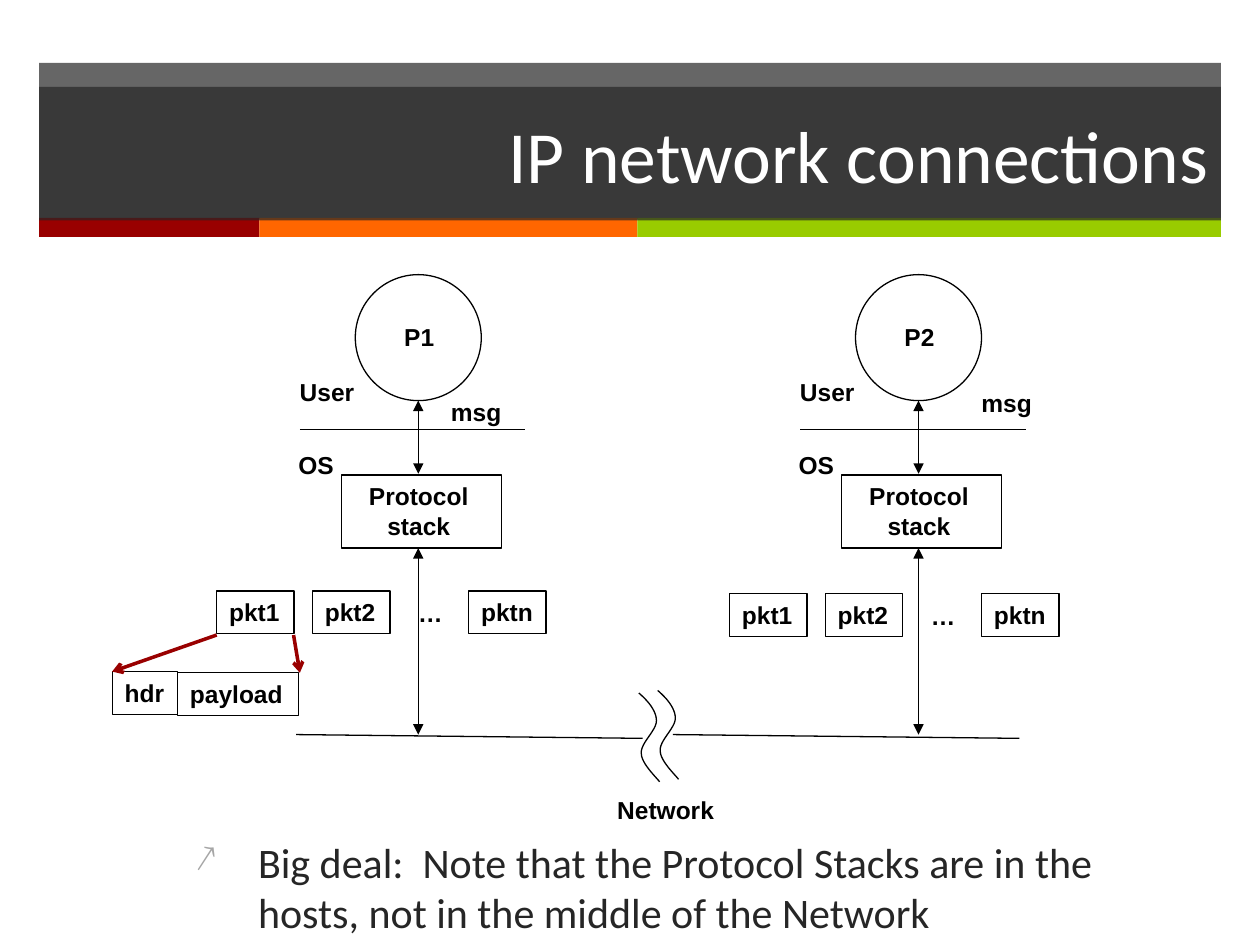
"""Draw the IP network connections slide on a grid of 100 columns by 75 rows."""
from lxml import etree
from pptx import Presentation, util as u
from pptx.dml import color as c
from pptx.enum import shapes, text
from pptx.oxml import ns

deck = Presentation()
deck.slide_width, deck.slide_height = u.Inches(10), u.Inches(7.5)
COL, ROW = deck.slide_width / 100, deck.slide_height / 75
INK, SLATE, CRIMSON = "000000", "262626", "990000"
RECT, OVAL = shapes.MSO_SHAPE.RECTANGLE, shapes.MSO_SHAPE.OVAL
slide = deck.slides.add_slide(deck.slide_layouts[5])
parts = slide.shapes


def paint(fill, colour, opacity=100):
    fill.solid()
    fill.fore_color.rgb = c.RGBColor.from_string(colour)
    if opacity < 100:
        for tone in fill._xPr.iter(ns.qn("a:srgbClr")):
            etree.SubElement(tone, ns.qn("a:alpha"), val=str(opacity * 1000))


def write(words, at, form=None, part=None, fill=None, opacity=100, line=None, size=14, font="Arial",
          bold=True, colour=INK, align=text.PP_ALIGN.LEFT, anchor=text.MSO_ANCHOR.TOP,
          wrap=False, right=1):
    left, top, width, height = at
    box = [round(v) for v in (left * COL, top * ROW, width * COL, height * ROW)]
    if part is not None:
        part.left, part.top, part.width, part.height = box
    elif form is not None:
        part = parts.add_shape(form, *box)
        part.shadow.inherit = False
    else:
        part = parts.add_textbox(*box)
    if fill:
        paint(part.fill, fill, opacity)
    else:
        part.fill.background()
    if line:
        paint(part.line.fill, line)
        part.line.width = u.Pt(0.75)
    else:
        part.line.fill.background()
    frame = part.text_frame
    frame.text = words
    frame.word_wrap, frame.vertical_anchor = wrap, anchor
    frame.auto_size = text.MSO_AUTO_SIZE.NONE
    frame.margin_right = round(right * COL)
    for paragraph in frame.paragraphs:
        paragraph.alignment = align
        paragraph.font.size, paragraph.font.name, paragraph.font.bold = u.Pt(size), font, bold
        paint(paragraph.font.fill, colour)
    return part


write("", (3.1, 5, 93.8, 12.4), RECT, fill=SLATE, opacity=70)
stripe_left = 3.1
for width, colour in ((17.5, CRIMSON), (30, "FF6600"), (46.3, "99CC00")):
    write("", (stripe_left, 17.3, width, 1.5), RECT, fill=colour)
    stripe_left += width

title = write("IP network connections", (3.1, 6.9, 93.8, 10.6), part=parts.title, fill=SLATE, opacity=70,
              size=42, font="Calibri", bold=False, colour="FFFFFF", align=text.PP_ALIGN.RIGHT,
              anchor=text.MSO_ANCHOR.MIDDLE, wrap=True)
parts._spTree.append(title._element)

links = [((23.5, 58.3), (51, 58.6), INK, 0.75, {}),
         ((53.4, 58.3), (80.9, 58.6), INK, 0.75, {}),
         ((17.2, 50.4), (8.9, 53.3), CRIMSON, 2, {"tailEnd": "arrow"}),
         ((23.3, 50.4), (23.8, 53.4), CRIMSON, 2, {"tailEnd": "arrow"})]
both_ends = {"headEnd": "triangle", "tailEnd": "triangle"}

for process, shift, packet_shift, packet_top, msg_at in (
        ("P1", 0, 0, 46.9, (34.8, 31)), ("P2", 39.7, 40.7, 47.1, (76.9, 30.3))):
    write("", (28.2 + shift, 21.8, 10, 10), OVAL, line=INK)
    write(process, (31.1 + shift, 25.1, 4.4, 3.3))
    write("User", (22.8 + shift, 29.4, 6.9, 3.3))
    write("OS", (22.7 + shift, 35.2, 5.4, 3.3))
    write("msg", (*msg_at, 6.5, 3.3))
    write("Protocol\nstack", (27.1 + shift, 37.7, 12.7, 5.8), RECT, line=INK,
          align=text.PP_ALIGN.CENTER, right=1.4)
    for packet, left in (("pkt1", 17.2), ("pkt2", 24.8), ("pktn", 37.2)):
        write(packet, (left + packet_shift, packet_top, 6.15, 3.4), RECT, line=INK)
    write("…", (32.2 + packet_shift, packet_top + 0.1, 4, 3.3))
    axis = 33.2 + shift
    links += [((23.8 + shift, 34.1), (41.7 + shift, 34.1), INK, 0.75, {}),
              ((axis, 31.8), (axis, 37.6), INK, 0.75, both_ends),
              ((axis, 43.5), (axis, 58.3), INK, 0.75, both_ends)]

write("hdr", (8.9, 53.3, 5.2, 3.4), RECT, line=INK)
write("payload", (14.1, 53.4, 9.6, 3.4), RECT, line=INK)
write("Network", (48, 62.6, 10.7, 3.3))

for start, end, colour, weight, heads in links:
    link = parts.add_connector(shapes.MSO_CONNECTOR.STRAIGHT, *(
        round(v) for v in (start[0] * COL, start[1] * ROW, end[0] * COL, end[1] * ROW)))
    paint(link.line.fill, colour)
    link.line.width = u.Pt(weight)
    for tag, head in heads.items():
        etree.SubElement(link.line._ln, ns.qn("a:" + tag), type=head)
    etree.SubElement(link._element.spPr, ns.qn("a:effectLst"))

bends = [((0, 0), (0.7, 0.6), (1.4, 1.4), (1.4, 2.2)),
         ((1.4, 2.2), (1.4, 3), (0.1, 4), (0.2, 4.8)),
         ((0.2, 4.8), (0.2, 5.6), (1.4, 6.7), (1.65, 7.05))]
STEPS = 12
curve = [tuple(sum(k * p[axis] for k, p in zip(
            ((1 - t) ** 3, 3 * t * (1 - t) ** 2, 3 * t * t * (1 - t), t ** 3), bend)) for axis in (0, 1))
         for bend in bends for t in (step / STEPS for step in range(STEPS + 1))]
for left, top in ((50.7, 55), (52.2, 54.8)):
    points = [(round((left + x) * COL), round((top + y) * ROW)) for x, y in curve]
    outline = parts.build_freeform(*points[0])
    outline.add_line_segments(points[1:], close=False)
    wave = outline.convert_to_shape()
    wave.shadow.inherit = False
    wave.fill.background()
    paint(wave.line.fill, INK)
    wave.line.width = u.Pt(0.75)

note = write("Big deal:  Note that the Protocol Stacks are in the hosts, not in the middle of the Network",
             (14.5, 65.9, 77.4, 9), size=24, font="Calibri", bold=False, colour=SLATE, wrap=True)
layout = note.text_frame.paragraphs[0]._p.get_or_add_pPr()
layout.set("marL", str(u.Inches(0.5)))
layout.set("indent", str(-u.Inches(0.5)))
bullet = [etree.Element(ns.qn("a:" + tag), **values) for tag, values in (
    ("buClr", {}), ("buSzPct", {"val": "90000"}), ("buChar", {"char": "↗"}))]
etree.SubElement(bullet[0], ns.qn("a:srgbClr"), val="A6A6A6")
for place, element in enumerate(bullet):
    layout.insert(place, element)

deck.save("out.pptx")
